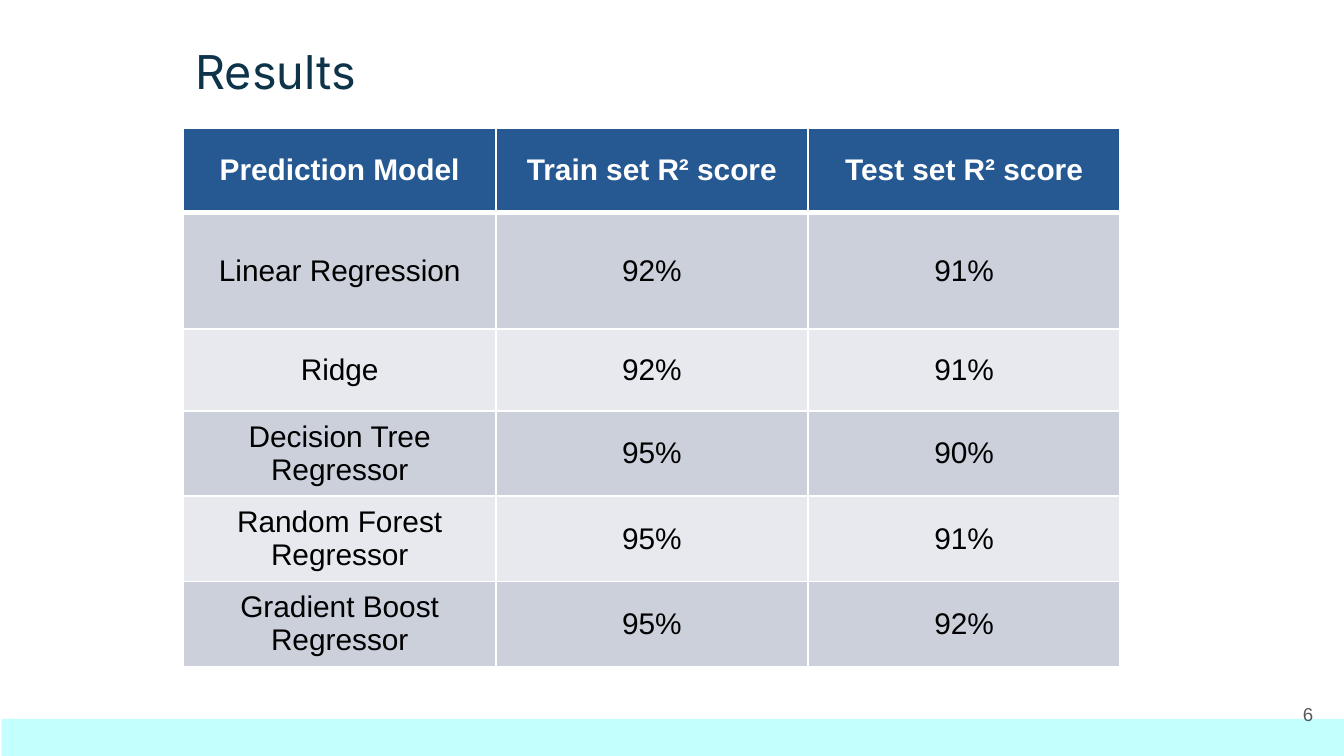
import pptx
import pptx.dml.color
import pptx.enum.shapes
import pptx.enum.text
import pptx.oxml
import pptx.oxml.ns
import pptx.util

Cm = pptx.util.Cm
Pt = pptx.util.Pt
RGBColor = pptx.dml.color.RGBColor
PP_ALIGN = pptx.enum.text.PP_ALIGN
MSO_ANCHOR = pptx.enum.text.MSO_ANCHOR

COLORS = {
    "title": "0E3449",
    "footer": "C3FFFC",
    "number": "595959",
    "header": "265991",
    "band_dark": "CBD0DB",
    "band_light": "E7E9EE",
    "white": "FFFFFF",
    "black": "000000",
}

ROWS = [
    ("Prediction Model", "Train set R² score", "Test set R² score"),
    ("Linear Regression", "92%", "91%"),
    ("Ridge", "92%", "91%"),
    ("Decision Tree Regressor", "95%", "90%"),
    ("Random Forest Regressor", "95%", "91%"),
    ("Gradient Boost Regressor", "95%", "92%"),
]
ROW_HEIGHTS = [1.6, 2.2, 1.55, 1.6, 1.6, 1.6]
COLUMN_WIDTH = 5.9


def write_text(text_frame, text, font_name, size, color, alignment, bold=False):
    text_frame.text = text
    paragraph = text_frame.paragraphs[0]
    paragraph.alignment = alignment
    font = paragraph.runs[0].font
    font.name = font_name
    font.size = Pt(size)
    font.bold = bold
    font.color.rgb = RGBColor.from_string(COLORS[color])


def add_borders(cell, top, bottom):
    """Draw white cell borders; top and bottom widths are in points."""
    properties = cell._tc.get_or_add_tcPr()
    widths = {"lnL": 1, "lnR": 1, "lnT": top, "lnB": bottom}
    for position, (side, width) in enumerate(widths.items()):
        line = pptx.oxml.parse_xml(
            f'<a:{side} {pptx.oxml.ns.nsdecls("a")} w="{Pt(width)}"><a:solidFill>'
            f'<a:srgbClr val="{COLORS["white"]}"/></a:solidFill></a:{side}>'
        )
        properties.insert(position, line)


presentation = pptx.Presentation()
presentation.slide_width = Cm(25.4)
presentation.slide_height = Cm(14.29)
slide = presentation.slides.add_slide(presentation.slide_layouts[6])

# Title, footer band and page number
title = slide.shapes.add_textbox(Cm(3.45), Cm(0.56), Cm(14.76), Cm(1.47))
footer = slide.shapes.add_shape(
    pptx.enum.shapes.MSO_SHAPE.RECTANGLE, Cm(0.03), Cm(13.59), Cm(25.4), Cm(0.7)
)
footer.shadow.inherit = False
footer.fill.solid()
footer.fill.fore_color.rgb = RGBColor.from_string(COLORS["footer"])
footer.line.fill.background()
page_number = slide.shapes.add_textbox(Cm(23.55), Cm(12.95), Cm(1.52), Cm(1.09))

for box in (title, page_number):
    frame = box.text_frame
    frame.word_wrap = True
    frame.margin_left = frame.margin_right = Cm(0.25)
    frame.margin_top = frame.margin_bottom = Cm(0.25)
page_number.text_frame.vertical_anchor = MSO_ANCHOR.MIDDLE
write_text(title.text_frame, "Results", "Inter", 25, "title", PP_ALIGN.LEFT)
write_text(page_number.text_frame, "6", "Arial", 10, "number", PP_ALIGN.RIGHT)

# Score table
table = slide.shapes.add_table(
    len(ROWS), len(ROWS[0]), Cm(3.47), Cm(2.42),
    Cm(COLUMN_WIDTH * len(ROWS[0])), Cm(sum(ROW_HEIGHTS)),
).table
for column in table.columns:
    column.width = Cm(COLUMN_WIDTH)

for row_index, values in enumerate(ROWS):
    table.rows[row_index].height = Cm(ROW_HEIGHTS[row_index])
    is_header = row_index == 0
    if is_header:
        fill_color = "header"
    else:
        fill_color = "band_dark" if row_index % 2 else "band_light"
    for column_index, value in enumerate(values):
        cell = table.cell(row_index, column_index)
        cell.vertical_anchor = MSO_ANCHOR.MIDDLE
        cell.fill.solid()
        cell.fill.fore_color.rgb = RGBColor.from_string(COLORS[fill_color])
        write_text(
            cell.text_frame, value, "Arial", 16,
            "white" if is_header else "black", PP_ALIGN.CENTER, is_header,
        )
        add_borders(cell, 3 if row_index == 1 else 1, 3 if is_header else 1)

presentation.save("out.pptx")
